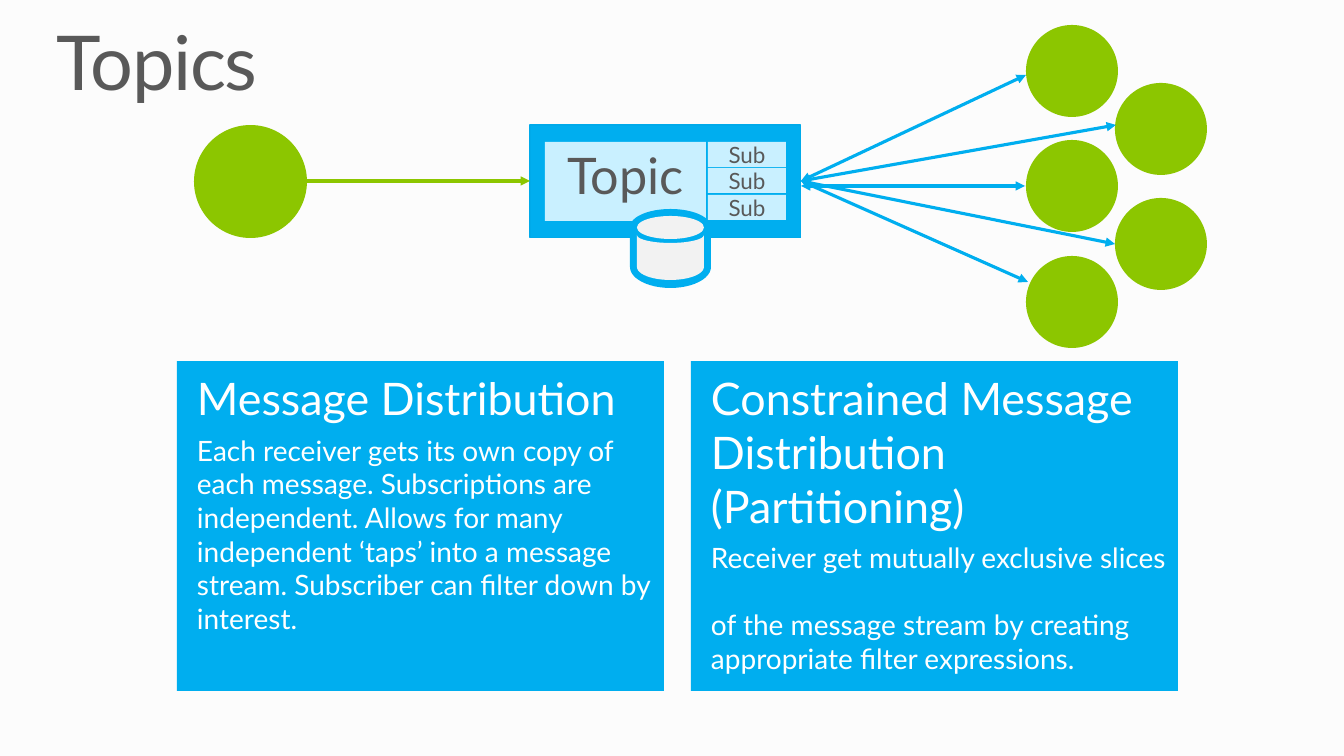
import math

import pptx
import pptx.dml.color
import pptx.enum.shapes
import pptx.enum.text
import pptx.oxml
import pptx.oxml.ns
import pptx.util

SHAPES = pptx.enum.shapes.MSO_SHAPE
ALIGN = pptx.enum.text.PP_ALIGN
ANCHOR = pptx.enum.text.MSO_ANCHOR
BLUE, PALE_BLUE, GREEN = "00AEEF", "C9F0FF", "8CC600"
GRAY, LIGHT_GRAY, WHITE = "595959", "F2F2F2", "FFFFFF"


def px(length):
    return pptx.util.Emu(round(length * 914400 / 100.8))


def color(value):
    return pptx.dml.color.RGBColor.from_string(value)


class SlidePainter:
    """Draws styled elements on one slide, measured in px."""

    font_name = "Lato"

    def __init__(self, slide, background):
        self.slide = slide
        fill = slide.background.fill
        fill.solid()
        fill.fore_color.rgb = color(background)

    def finish(self, shape, fill, line=None):
        shape.shadow.inherit = False
        shape.fill.solid()
        shape.fill.fore_color.rgb = color(fill)
        if line:
            shape.line.color.rgb = color(line)
            shape.line.width = pptx.util.Pt(0.75)
        else:
            shape.line.fill.background()
        return shape

    def shape(self, kind, left, top, width, height, fill, line=None):
        shape = self.slide.shapes.add_shape(kind, px(left), px(top), px(width), px(height))
        return self.finish(shape, fill, line)

    def circle(self, left, top, diameter):
        return self.shape(SHAPES.OVAL, left, top, diameter, diameter, GREEN)

    def set_text(self, shape, lines, text_color, margins, align=ALIGN.LEFT, anchor=ANCHOR.TOP):
        frame = shape.text_frame
        frame.word_wrap = True
        frame.vertical_anchor = anchor
        (frame.margin_left, frame.margin_top,
         frame.margin_right, frame.margin_bottom) = map(px, margins)
        for index, (text, size) in enumerate(lines):
            paragraph = frame.add_paragraph() if index else frame.paragraphs[0]
            paragraph.text = text
            paragraph.alignment = align
            paragraph.font.name = self.font_name
            paragraph.font.size = pptx.util.Pt(size)
            paragraph.font.color.rgb = color(text_color)
        return frame

    def title(self, text, left, top, width, height):
        box = self.slide.shapes.add_textbox(px(left), px(top), px(width), px(height))
        paragraph = self.set_text(box, [(text, 54)], GRAY, (0, 0, 0, 0)).paragraphs[0]
        paragraph.line_spacing = 0.9
        paragraph.runs[0]._r.get_or_add_rPr().set("spc", "-100")

    def label(self, text, size, left, top, width, height, margins):
        shape = self.shape(SHAPES.RECTANGLE, left, top, width, height, PALE_BLUE)
        self.set_text(shape, [(text, size)], GRAY, margins, ALIGN.CENTER, ANCHOR.MIDDLE)

    def card(self, heading, body, left, top, width, height):
        shape = self.shape(SHAPES.RECTANGLE, left, top, width, height, BLUE)
        frame = self.set_text(shape, [(heading, 32), (body, 20)], WHITE, (20, 10, 10, 0))
        frame.paragraphs[0].space_after = pptx.util.Pt(6)

    def arrow(self, start, end, line, both_ends=False):
        connector = self.slide.shapes.add_connector(
            pptx.enum.shapes.MSO_CONNECTOR.STRAIGHT, *map(px, start + end))
        connector.line.color.rgb = color(line)
        connector.line.width = pptx.util.Pt(2.25)
        outline = connector.line._get_or_add_ln()
        for tag in ["a:headEnd", "a:tailEnd"] if both_ends else ["a:tailEnd"]:
            end_mark = pptx.oxml.parse_xml(f'<{tag} {pptx.oxml.ns.nsdecls("a")} type="triangle"/>')
            outline.append(end_mark)
        connector._element.spPr.append(
            pptx.oxml.parse_xml(f'<a:effectLst {pptx.oxml.ns.nsdecls("a")}/>'))

    def barrel(self, left, right, top_edge, bottom_edge, fill):
        center, radius = (left + right) / 2, (right - left) / 2
        steps = [math.pi * step / 24 for step in range(25)]

        def arc(edge, angles):
            middle, bulge = edge
            return [(px(center + radius * math.cos(angle)), px(middle + bulge * math.sin(angle)))
                    for angle in angles]

        points = arc(top_edge, reversed(steps)) + arc(bottom_edge, steps)
        builder = self.slide.shapes.build_freeform(*points[0])
        builder.add_line_segments(points[1:])
        self.finish(builder.convert_to_shape(), fill)


def main():
    presentation = pptx.Presentation()
    presentation.slide_width, presentation.slide_height = px(1344), px(756)
    slide = presentation.slides.add_slide(presentation.slide_layouts[6])
    painter = SlidePainter(slide, "FCFCFC")

    painter.title("Topics", 57, 25, 1230, 83)

    receivers = [
        (1026, 25, (801, 181), (1026, 75)),
        (1115, 83, (801, 181), (1116, 125)),
        (1026, 140, (801, 186), (1025, 186)),
        (1115, 198, (801, 181), (1115, 244)),
        (1026, 256, (801, 181), (1028, 282)),
    ]
    for left, top, start, end in receivers:
        painter.circle(left, top, 92)
        painter.arrow(start, end, BLUE, both_ends=True)

    painter.shape(SHAPES.RECTANGLE, 530, 125, 271, 113, BLUE, "00AAEA")
    painter.label("Topic", 36, 545, 142, 161, 79, (10, 5, 10, 20))
    for row in range(3):
        painter.label("Sub", 16, 708, 142 + row * 53 // 2, 78, 25, (10, 20, 10, 20))

    painter.circle(194, 125, 113)
    painter.arrow((306, 181), (530, 181), GREEN)

    painter.barrel(630, 711, (227, -18), (267, 21), BLUE)
    painter.barrel(637, 704, (235, 8), (267, 13), LIGHT_GRAY)
    painter.shape(SHAPES.OVAL, 637, 216, 67, 23, LIGHT_GRAY)

    cards = [
        ("Message Distribution",
         "Each receiver gets its own copy of each message. Subscriptions are independent. "
         "Allows for many independent ‘taps’ into a message stream. "
         "Subscriber can filter down by interest."),
        ("Constrained Message Distribution (Partitioning)",
         "Receiver get mutually exclusive slices \vof the message stream by creating "
         "appropriate filter expressions."),
    ]
    for index, (heading, body) in enumerate(cards):
        painter.card(heading, body, 177 + index * 514, 361, 487, 330)

    presentation.save("out.pptx")


if __name__ == "__main__":
    main()
